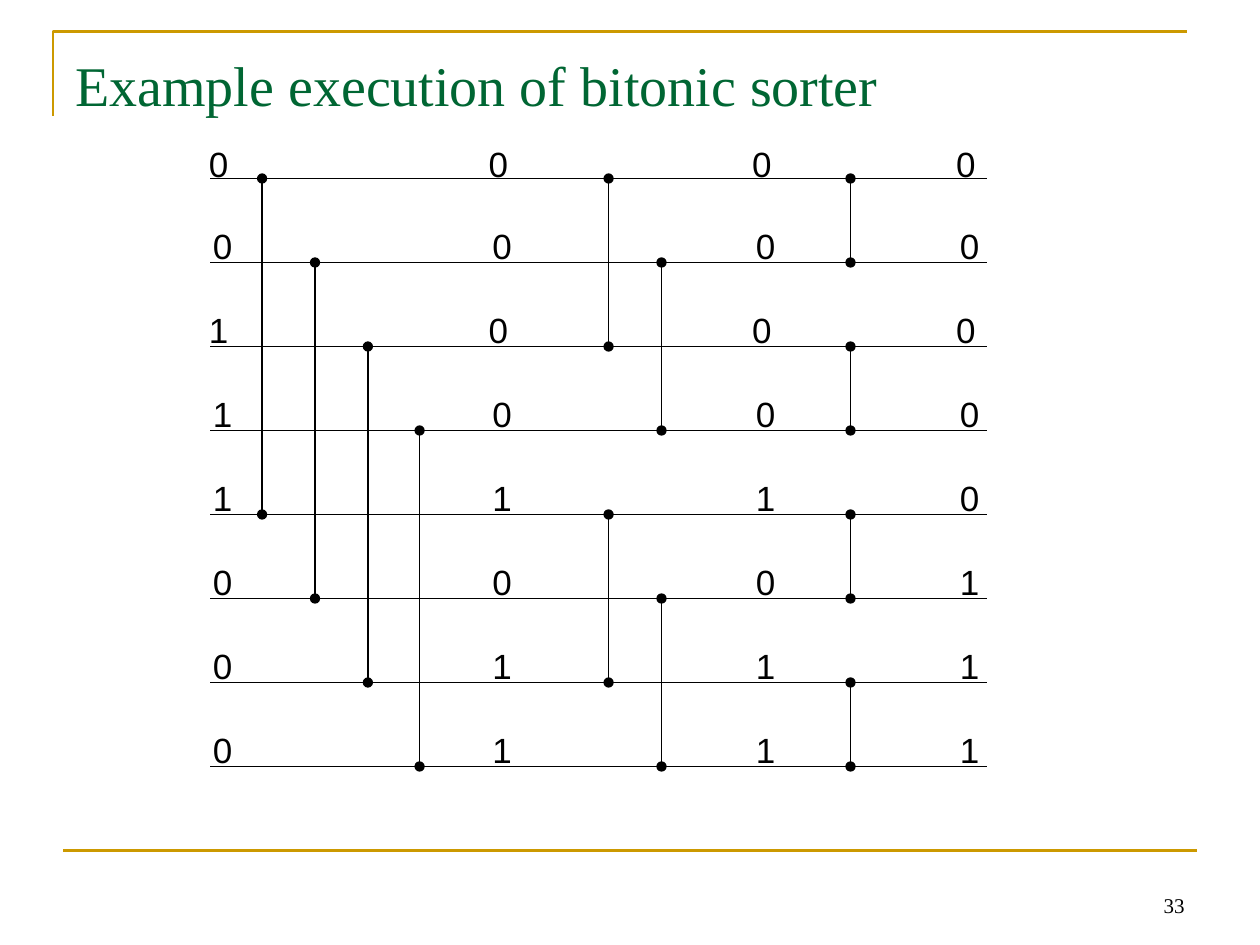
from dataclasses import dataclass

from lxml import etree
from pptx import Presentation
from pptx.dml.color import RGBColor
from pptx.enum import shapes, text
from pptx.oxml import ns
from pptx.util import Inches, Pt


@dataclass(frozen=True)
class Theme:
    gold: str = "CC9900"
    green: str = "006633"
    black: str = "000000"
    serif: str = "Times New Roman"
    sans: str = "Arial"
    title_size: int = 32
    value_size: int = 20
    number_size: int = 12
    rule_width: float = 1.5
    wire_width: float = 0.75


THEME = Theme()

WIRE_TOP, WIRE_GAP = 17 / 12, 2 / 3
WIRE_LEFT, WIRE_RIGHT = 1.67, 7.83
VALUE_RISE = 0.35
VALUE_SIZE = (0.35, 0.44)
NUDGED_ROWS = (0, 2)
NUDGE = 0.03

STAGES = [
    (1.59, "00111000"),
    (3.81, "00001011"),
    (5.9, "00001011"),
    (7.52, "00000111"),
]

COMPARATORS = [
    (4, [(2.08, [0]), (2.5, [1]), (2.92, [2]), (3.33, [3])]),
    (2, [(4.83, [0, 4]), (5.25, [1, 5])]),
    (1, [(6.75, [0, 2, 4, 6])]),
]


def wire_y(row):
    return WIRE_TOP + row * WIRE_GAP


def style_line(line, color, width):
    line.color.rgb = RGBColor.from_string(color)
    line.width = Pt(width)


def add_line(s, start, end, color, width, dots=False):
    points = [Inches(v) for v in (*start, *end)]
    cxn = s.shapes.add_connector(shapes.MSO_CONNECTOR.STRAIGHT, *points)
    style_line(cxn.line, color, width)
    sp_pr = cxn._element.spPr
    if dots:
        ln = sp_pr.find(ns.qn("a:ln"))
        for tag in ("a:headEnd", "a:tailEnd"):
            etree.SubElement(ln, ns.qn(tag), type="oval")
    etree.SubElement(sp_pr, ns.qn("a:effectLst"))


def add_text(s, box, content, font, size, color, align=text.PP_ALIGN.LEFT,
             anchor=text.MSO_ANCHOR.TOP, wrap=True, inset_top=0.05):
    sp = s.shapes.add_textbox(*[Inches(v) for v in box])
    tf = sp.text_frame
    tf.word_wrap = wrap
    tf.vertical_anchor = anchor
    tf.margin_top = Inches(inset_top)
    p = tf.paragraphs[0]
    p.alignment = align
    r = p.add_run()
    r.text = content
    r.font.name = font
    r.font.size = Pt(size)
    r.font.color.rgb = RGBColor.from_string(color)


def add_frame(s):
    builder = s.shapes.build_freeform(Inches(0.42), Inches(0.92))
    corner = [(0.42, 0.25), (9.42, 0.25)]
    builder.add_line_segments([(Inches(x), Inches(y)) for x, y in corner], close=False)
    sp = builder.convert_to_shape()
    sp.shadow.inherit = False
    sp.fill.background()
    style_line(sp.line, THEME.gold, THEME.rule_width)
    add_line(s, (0.5, 6.75), (9.5, 6.75), THEME.gold, THEME.rule_width)


def add_wires(s):
    for row in range(8):
        y = wire_y(row)
        add_line(s, (WIRE_LEFT, y), (WIRE_RIGHT, y), THEME.black, THEME.wire_width)


def add_comparators(s):
    for span, columns in COMPARATORS:
        for x, rows in columns:
            for row in rows:
                add_line(s, (x, wire_y(row)), (x, wire_y(row + span)),
                         THEME.black, THEME.wire_width, dots=True)


def add_values(s):
    for x, bits in STAGES:
        for row, bit in enumerate(bits):
            left = x - NUDGE if row in NUDGED_ROWS else x
            top = 1.08 if row == 0 else wire_y(row) - VALUE_RISE
            add_text(s, (left, top, *VALUE_SIZE), bit, THEME.sans, THEME.value_size,
                     THEME.black, align=text.PP_ALIGN.CENTER, wrap=False)


def main():
    prs = Presentation()
    prs.slide_width, prs.slide_height = Inches(10), Inches(7.5)
    s = prs.slides.add_slide(prs.slide_layouts[6])
    add_frame(s)
    add_text(s, (7.17, 6.83, 2.33, 0.5), "33", THEME.serif, THEME.number_size,
             THEME.black, align=text.PP_ALIGN.RIGHT, anchor=text.MSO_ANCHOR.BOTTOM)
    add_text(s, (0.5, 0.3, 9, 1.25), "Example execution of bitonic sorter",
             THEME.serif, THEME.title_size, THEME.green, inset_top=0.1)
    add_wires(s)
    add_comparators(s)
    add_values(s)
    prs.save("out.pptx")


if __name__ == "__main__":
    main()
